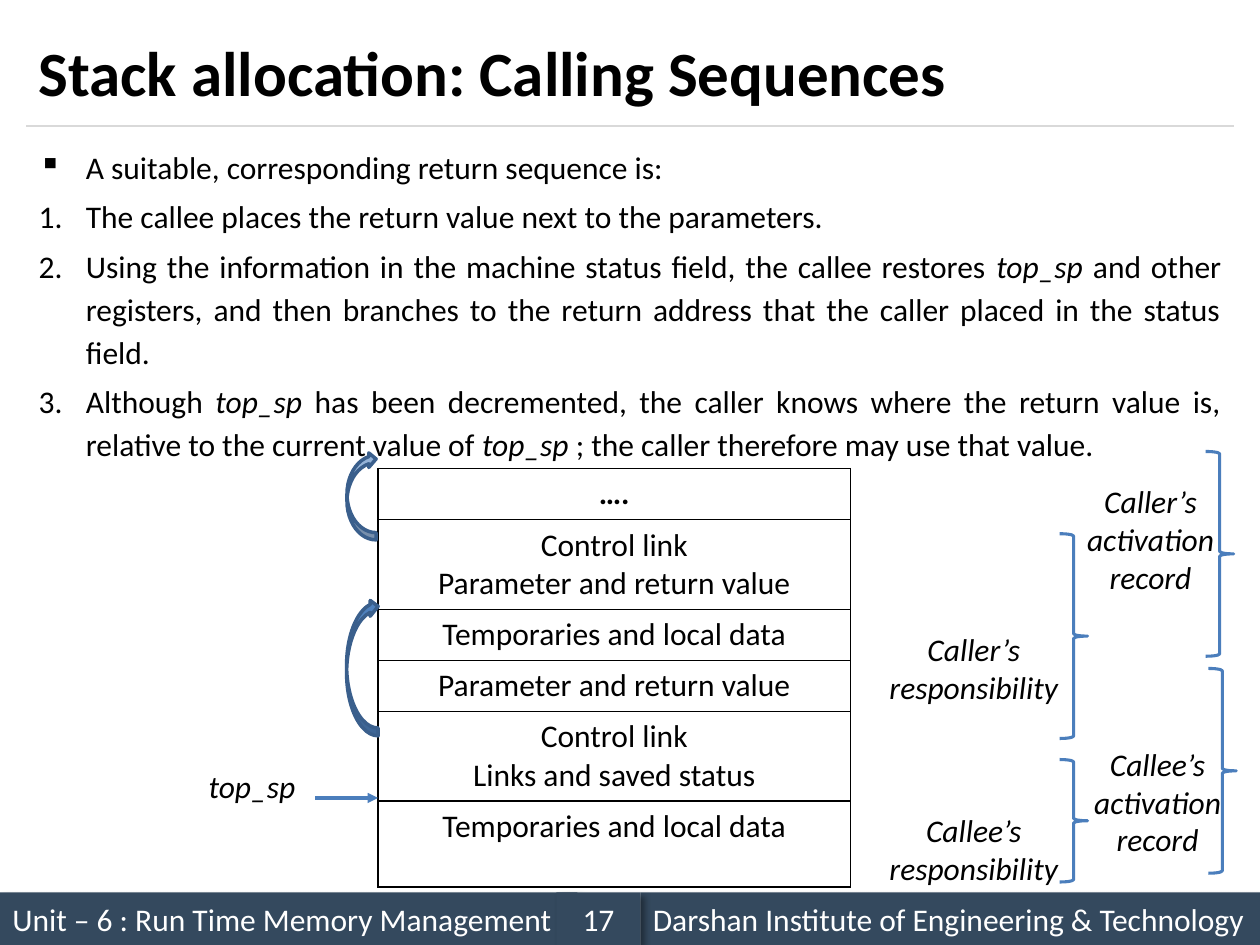
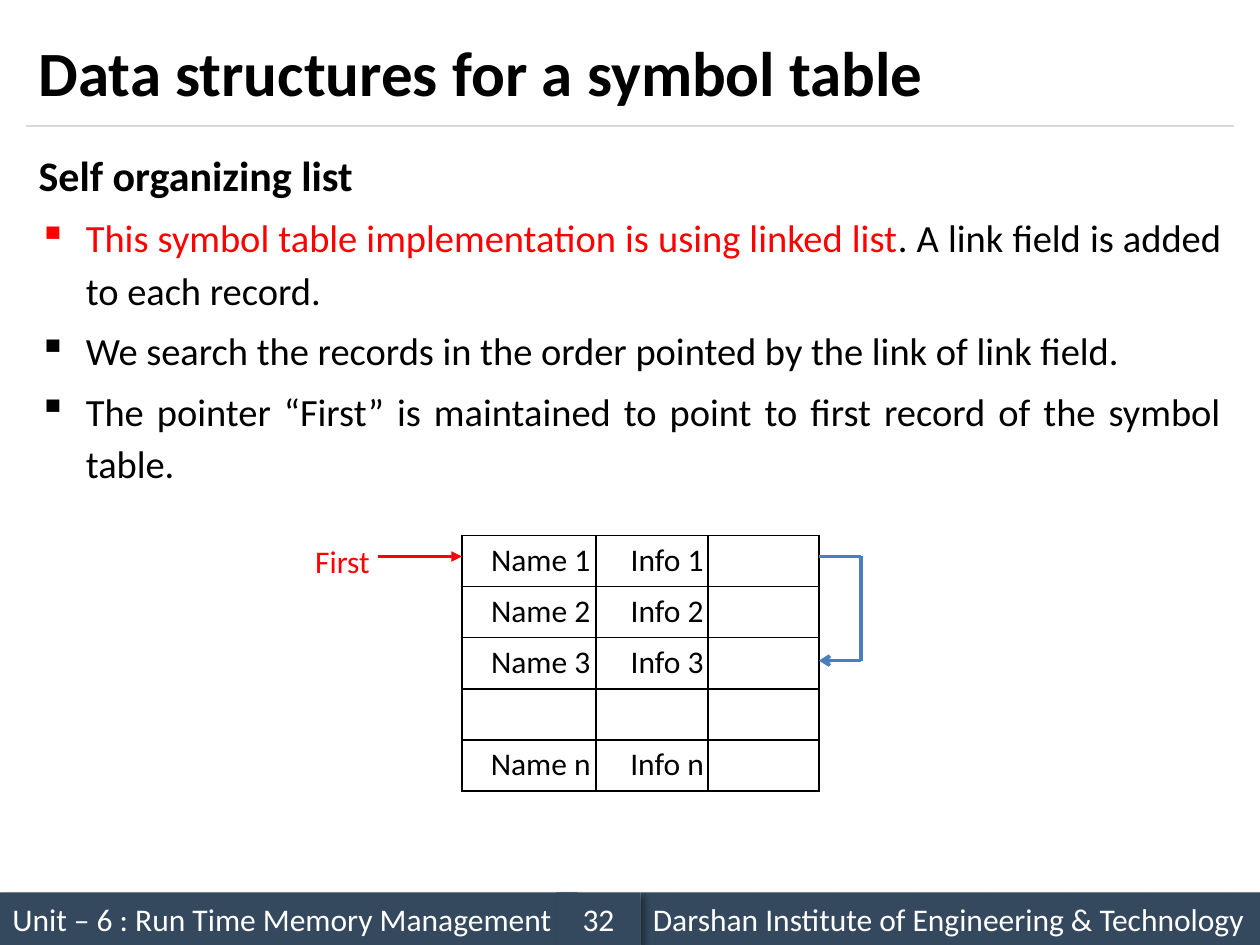
from lxml import etree
from pptx import Presentation
from pptx.dml.color import RGBColor
from pptx.enum.shapes import MSO_CONNECTOR, MSO_SHAPE
from pptx.enum.text import MSO_ANCHOR, PP_ALIGN
from pptx.oxml.ns import qn
from pptx.util import Pt

LEFT, CENTER, JUSTIFY = PP_ALIGN.LEFT, PP_ALIGN.CENTER, PP_ALIGN.JUSTIFY
TOP, MIDDLE = MSO_ANCHOR.TOP, MSO_ANCHOR.MIDDLE
RECTANGLE, BRACE = MSO_SHAPE.RECTANGLE, MSO_SHAPE.RIGHT_BRACE
CURVED_ARROW = MSO_SHAPE.CURVED_DOWN_ARROW
STRAIGHT = MSO_CONNECTOR.STRAIGHT

BLACK, WHITE, RED = "000000", "FFFFFF", "FF0000"
BAND, RULE, BLUE, DARK_BLUE = "34495E", "D9D9D9", "4B7EBC", "3A5F8C"
HANGING = Pt(27)

rgb = RGBColor.from_string


def write(frame, text, size=18, color=BLACK, align=LEFT, anchor=MIDDLE,
          emphasis_color=None, **font_format):
    """Fill a frame: newlines part paragraphs, bars enclose emphasised words.

    Emphasis is a colour if one is given, otherwise italics.
    """
    frame.word_wrap = True
    frame.vertical_anchor = anchor
    for number, words in enumerate(text.split("\n")):
        paragraph = frame.add_paragraph() if number else frame.paragraphs[0]
        paragraph.alignment = align
        for part, piece in enumerate(words.split("|")):
            if not piece:
                continue
            run = paragraph.add_run()
            run.text = piece
            emphasised = part % 2 == 1
            values = {"name": "Calibri", "size": Pt(size), "bold": False,
                      "italic": emphasised and not emphasis_color, **font_format}
            for attribute, value in values.items():
                setattr(run.font, attribute, value)
            run.font.color.rgb = rgb(
                emphasis_color if emphasised and emphasis_color else color)


def draw_line(slide, x1, y1, x2, y2, color, width, arrowhead=None):
    connector = slide.shapes.add_connector(STRAIGHT, Pt(x1), Pt(y1), Pt(x2), Pt(y2))
    connector.line.color.rgb = rgb(color)
    connector.line.width = Pt(width)
    properties = connector._element.spPr
    if arrowhead:
        etree.SubElement(properties.find(qn("a:ln")), qn("a:tailEnd"), type=arrowhead)
    etree.SubElement(properties, qn("a:effectLst"))


prs = Presentation()
prs.slide_width, prs.slide_height = Pt(720), Pt(540)

# Title, body and footer of each slide
pages = [
    {
        "title": "Stack allocation: Calling Sequences",
        "number": "17",
        "size": 18,
        "markers": ["▪", "1.", "1.", "1."],
        "emphasis_color": None,
        "body": "A suitable, corresponding return sequence is:\n"
                "The callee places the return value next to the parameters.\n"
                "Using the information in the machine status field, the callee restores "
                "|top_sp |and other registers, and then branches to the return address "
                "that the caller placed in the status field.\n"
                "Although |top_sp |has been decremented, the caller knows where the return "
                "value is, relative to the current value of |top_sp |; the caller "
                "therefore may use that value.",
    },
    {
        "title": "Data structures for a symbol table",
        "number": "32",
        "size": 22,
        "markers": [None, "▪", "▪", "▪"],
        "emphasis_color": RED,
        "body": "Self organizing list\n"
                "|This symbol table implementation is using linked list|. A link field is "
                "added to each record.\n"
                "We search the records in the order pointed by the link of link field.\n"
                "The pointer “First” is maintained to point to first record of the symbol "
                "table.",
    },
]

slides = []
for page in pages:
    slide = prs.slides.add_slide(prs.slide_layouts[6])
    slides.append(slide)
    footer = [
        ("Unit – 6 : Run Time Memory Management", 0, 330, LEFT),
        ("Darshan Institute of Engineering & Technology", 366, 354, LEFT),
        (page["number"], 318, 48, CENTER),
    ]
    for label, left, width, align in footer:
        band = slide.shapes.add_shape(RECTANGLE, Pt(left), Pt(510), Pt(width), Pt(30))
        band.fill.solid()
        band.fill.fore_color.rgb = rgb(BAND)
        band.line.fill.background()
        band.shadow.inherit = False
        effects = band._element.spPr.find(qn("a:effectLst"))
        shadow = etree.SubElement(effects, qn("a:outerShdw"), blurRad=str(Pt(4)),
                                  dist=str(Pt(3)), dir="2700000", algn="tl")
        shade = etree.SubElement(shadow, qn("a:srgbClr"), val=BLACK)
        etree.SubElement(shade, qn("a:alpha"), val="40000")
        write(band.text_frame, label, color=WHITE, align=align)
    draw_line(slide, 15, 72, 705, 72, RULE, 0.75)

    title = slide.shapes.add_textbox(Pt(15), Pt(9), Pt(690), Pt(63))
    write(title.text_frame, page["title"], size=36, bold=True)

    body = slide.shapes.add_textbox(Pt(15), Pt(78), Pt(690), Pt(420)).text_frame
    write(body, page["body"], size=page["size"], align=JUSTIFY, anchor=TOP,
          emphasis_color=page["emphasis_color"])
    for number, (paragraph, marker) in enumerate(zip(body.paragraphs, page["markers"])):
        paragraph.line_spacing = 1.14
        if number:
            paragraph.space_before = Pt(page["size"] * 0.2)
        if marker is None:
            heading = paragraph.runs[0].font
            heading.size, heading.bold = Pt(24), True
            continue
        properties = paragraph._p.get_or_add_pPr()
        properties.set("marL", str(HANGING))
        properties.set("indent", str(-HANGING))
        if marker == "1.":
            etree.SubElement(properties, qn("a:buAutoNum"), type="arabicPeriod")
        else:
            etree.SubElement(properties, qn("a:buChar"), char=marker)

calling, symbols = slides

# Tables: the run-time stack and the linked symbol table
stack_rows = [["…."], ["Control link\nParameter and return value"],
              ["Temporaries and local data"], ["Parameter and return value"],
              ["Control link\nLinks and saved status"], ["Temporaries and local data"]]
symbol_rows = [[f"Name {key}", f"Info {key}", ""] if key else ["", "", ""]
               for key in ("1", "2", "3", "", "n")]
tables = [
    {"slide": calling, "at": (216, 267.8), "rows": stack_rows, "columns": [270],
     "heights": [29.2, 51.2, 29.2, 29.2, 51.2, 49], "indents": [0],
     "spacing": 1.0, "side_margin": 7.2, "end_margin": 3.6},
    {"slide": symbols, "at": (264, 306), "rows": symbol_rows, "columns": [76.5, 64, 63.5],
     "heights": [29.2] * 5, "indents": [13.5, 17.5, 0],
     "spacing": 1.15, "side_margin": 0.7, "end_margin": 0},
]
for spec_table in tables:
    rows, columns, heights = (spec_table[key] for key in ("rows", "columns", "heights"))
    left, top = spec_table["at"]
    table = spec_table["slide"].shapes.add_table(
        len(rows), len(columns), Pt(left), Pt(top),
        Pt(sum(columns)), Pt(sum(heights))).table
    table.first_row = table.horz_banding = False
    for column, width in zip(table.columns, columns):
        column.width = Pt(width)
    for row, height, texts in zip(table.rows, heights, rows):
        row.height = Pt(height)
        for cell, text, indent in zip(row.cells, texts, spec_table["indents"]):
            cell.margin_left = cell.margin_right = Pt(spec_table["side_margin"])
            cell.margin_top = cell.margin_bottom = Pt(spec_table["end_margin"])
            properties = cell._tc.get_or_add_tcPr()
            for side in ("a:lnL", "a:lnR", "a:lnT", "a:lnB"):
                border = etree.SubElement(properties, qn(side), w=str(Pt(1)))
                ink = etree.SubElement(border, qn("a:solidFill"))
                etree.SubElement(ink, qn("a:srgbClr"), val=BLACK)
            cell.fill.background()
            if not text:
                continue
            write(cell.text_frame, text, align=CENTER, anchor=TOP, bold=text == "….")
            for paragraph in cell.text_frame.paragraphs:
                paragraph.line_spacing = spec_table["spacing"]
                paragraph._p.get_or_add_pPr().set("marL", str(Pt(indent)))

# Labels, braces and links around the stack
stack_labels = [
    ("top_sp", 105, 434, 78),
    ("Caller’s responsibility", 498, 366.5, 117),
    ("Callee’s responsibility", 498, 470, 117),
    ("Caller’s activation\nrecord", 599, 293, 117),
    ("Callee’s activation\nrecord", 603, 443, 117),
]
for label, left, top, width in stack_labels:
    box = calling.shapes.add_textbox(Pt(left), Pt(top), Pt(width), Pt(30))
    write(box.text_frame, label, align=CENTER, italic=True)

for left, top, height in [(689, 258, 117), (690.5, 382, 117),
                          (605.5, 305, 117), (605.5, 434, 70)]:
    brace = calling.shapes.add_shape(BRACE, Pt(left), Pt(top), Pt(16), Pt(height))
    brace.fill.background()
    brace.line.color.rgb = rgb(BLUE)
    brace.line.width = Pt(1.75)
    brace.shadow.inherit = False

draw_line(calling, 180, 456, 216, 456, BLUE, 1.75, "triangle")

for left, top, width, height, color in [(167.8, 372.2, 78.5, 18, "4F81BD"),
                                        (181.4, 275, 50.4, 16.6, "95B3D7")]:
    control_link = calling.shapes.add_shape(CURVED_ARROW, Pt(left), Pt(top),
                                            Pt(width), Pt(height))
    control_link.rotation = 270
    control_link.fill.solid()
    control_link.fill.fore_color.rgb = rgb(color)
    control_link.line.color.rgb = rgb(DARK_BLUE)
    control_link.line.width = Pt(2)
    control_link.shadow.inherit = False

# Pointer to the first record, and the link from record 1 to record 3
first = symbols.shapes.add_shape(RECTANGLE, Pt(173), Pt(306), Pt(59), Pt(24.5))
first.fill.solid()
first.fill.fore_color.rgb = rgb(WHITE)
first.line.fill.background()
first.shadow.inherit = False
write(first.text_frame, "First", color=RED, anchor=TOP)
draw_line(symbols, 216, 318, 264, 318, RED, 2, "triangle")

link_corners = [(468, 318), (492, 318), (492, 377.5), (468, 377.5)]
for start, end in zip(link_corners, link_corners[1:]):
    draw_line(symbols, *start, *end, BLUE, 2,
              "arrow" if end == link_corners[-1] else None)

prs.save("out.pptx")
